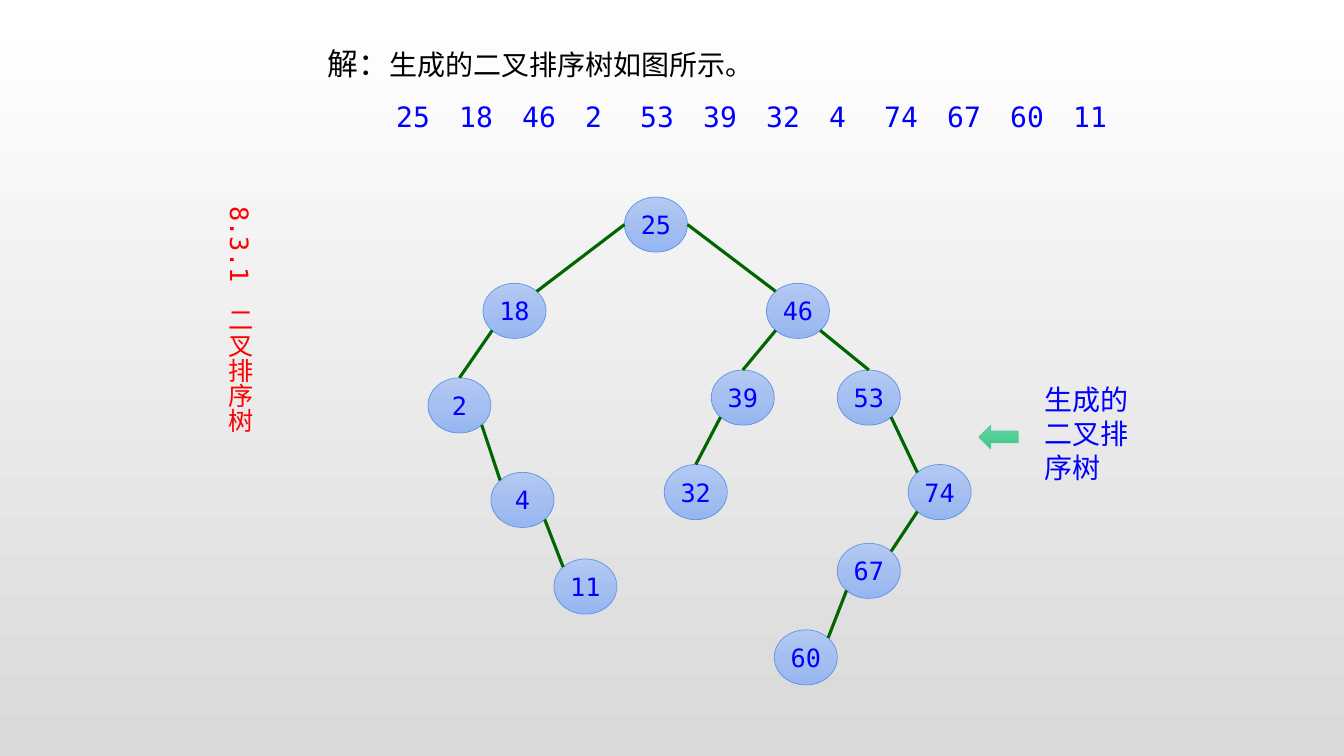
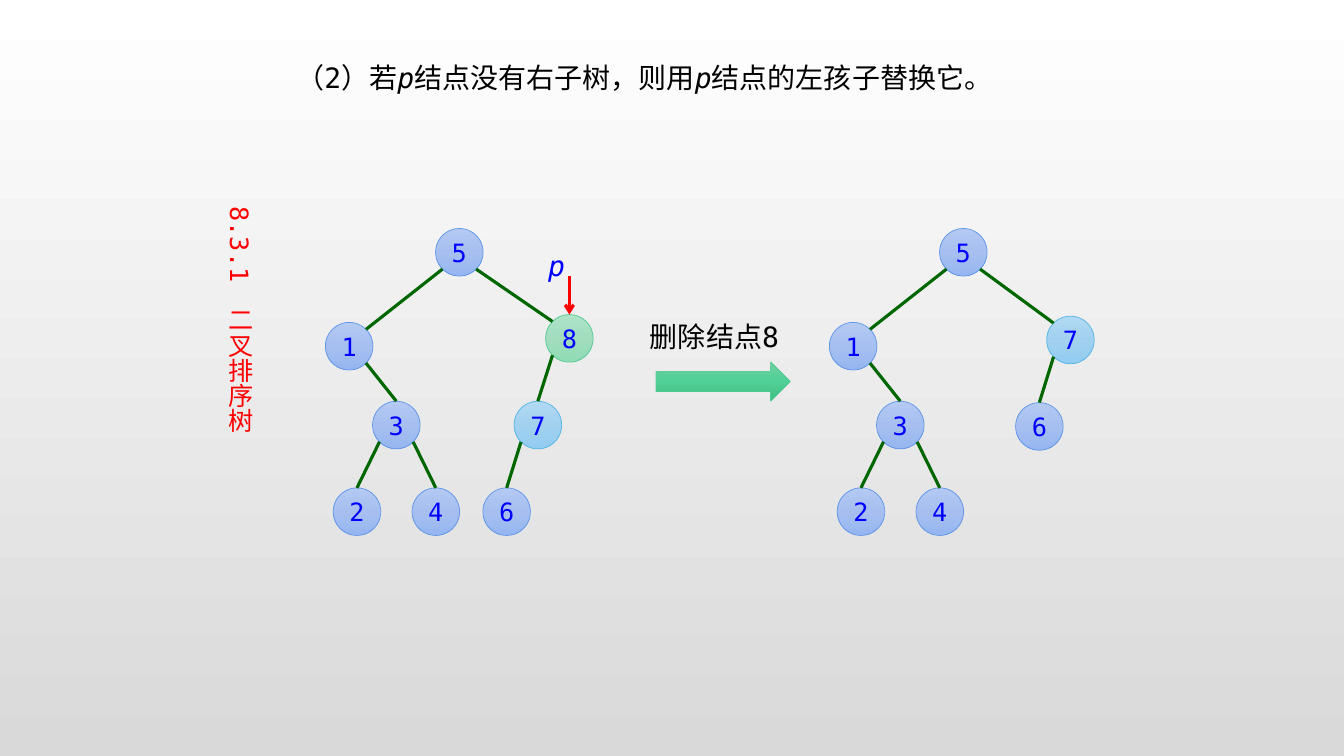
import dataclasses
import copy
import math
import typing

import lxml.etree
import pptx
import pptx.dml.color
import pptx.enum.shapes
import pptx.enum.text
import pptx.oxml.ns
import pptx.util

Pt = pptx.util.Pt
qn = pptx.oxml.ns.qn
ShapeKind = pptx.enum.shapes.MSO_SHAPE
Align = pptx.enum.text.PP_ALIGN
Anchor = pptx.enum.text.MSO_ANCHOR


@dataclasses.dataclass(frozen=True)
class Paint:
    stops: tuple[str, ...]
    outline: str


@dataclasses.dataclass(frozen=True)
class Theme:
    black: str = "000000"
    blue: str = "0000FF"
    red: str = "FF0000"
    edge: str = "006600"
    background: tuple[str, str] = ("FFFFFF", "D9D9D9")
    plain: Paint = Paint(("B4CAF3", "A6BFF0", "96B6F1"), "6096E6")
    removed: Paint = Paint(("AEE3C8", "A1DDBE", "90DCB5"), "56CA95")
    moved: Paint = Paint(("B1D9F3", "A2D1EF", "92CCF1"), "58B6E5")
    arrow: Paint = Paint(("6DD1A1", "50D096", "41BF85"), "56CA95")
    mono: str = "DejaVu Sans Mono"
    sans: str = "Arial"
    chinese: str = "Noto Sans CJK SC"
    lead_size: int = 22
    text_size: int = 20
    node_size: int = 18
    edge_width: float = 2.25
    outline_width: float = 0.5


THEME = Theme()


class Rect(typing.NamedTuple):
    left: float
    top: float
    width: float
    height: float


class Span(typing.NamedTuple):
    text: str
    size: int = THEME.text_size
    font: str = THEME.mono
    color: str = THEME.black
    italic: bool = False


@dataclasses.dataclass(frozen=True)
class Node:
    key: int
    x: float
    y: float
    parent: int | None = None
    shoulder: bool = False
    paint: Paint = THEME.plain


@dataclasses.dataclass(frozen=True)
class Tree:
    nodes: tuple[Node, ...]
    width: float
    height: float
    root_side_exit: bool = False


def rgb(value: str) -> pptx.dml.color.RGBColor:
    return pptx.dml.color.RGBColor.from_string(value)


def fill_gradient(fill, colors: tuple[str, ...]) -> None:
    fill.gradient_angle = 270
    last = len(colors) - 1
    for index, (stop, color) in enumerate(zip(fill.gradient_stops, colors)):
        stop.color.rgb = rgb(color)
        stop.position = index / last


def paint_shape(shape, paint: Paint) -> None:
    shape.shadow.inherit = False
    shape.fill.gradient()
    stop_list = next(shape._element.spPr.iter(qn("a:gsLst")))
    while len(stop_list) < len(paint.stops):
        stop_list.append(copy.deepcopy(stop_list[-1]))
    fill_gradient(shape.fill, paint.stops)
    shape.line.color.rgb = rgb(paint.outline)
    shape.line.width = Pt(THEME.outline_width)


def write_spans(box, spans: tuple[Span, ...], align=Align.LEFT) -> None:
    para = box.text_frame.paragraphs[0]
    para.alignment = align
    for span in spans:
        run = para.add_run()
        run.text = span.text
        run.font.size = Pt(span.size)
        run.font.name = span.font
        run.font.italic = span.italic
        run.font.color.rgb = rgb(span.color)
        east_asian = lxml.etree.Element(qn("a:ea"), typeface=THEME.chinese)
        run._r.rPr.find(qn("a:latin")).addnext(east_asian)


def add_text(page, rect: Rect, span: Span, side_inset: float = 7.2):
    box = page.shapes.add_textbox(*map(Pt, rect))
    frame = box.text_frame
    frame.word_wrap = True
    frame.margin_left = frame.margin_right = Pt(side_inset)
    write_spans(box, (span,))
    return box


def add_page(deck, title_rect: Rect, title: tuple[Span, ...]):
    page = deck.slides.add_slide(deck.slide_layouts.get_by_name("Title Only"))
    box = page.shapes.title
    box.left, box.top, box.width, box.height = map(Pt, title_rect)
    box.text_frame.vertical_anchor = Anchor.TOP
    box.text_frame.auto_size = pptx.enum.text.MSO_AUTO_SIZE.NONE
    write_spans(box, title)
    section = add_text(page, Rect(150, 140.5, 36, 247.5),
                       Span("8.3.1　二叉排序树", THEME.node_size, color=THEME.red))
    section.text_frame._txBody.bodyPr.set("vert", "eaVert")
    return page


def add_line(page, start: tuple[float, float], end: tuple[float, float], color: str):
    line = page.shapes.add_connector(
        pptx.enum.shapes.MSO_CONNECTOR.STRAIGHT, *map(Pt, (*start, *end)))
    line.line.color.rgb = rgb(color)
    line.line.width = Pt(THEME.edge_width)
    lxml.etree.SubElement(line._element.spPr, qn("a:effectLst"))
    return line


def add_block_arrow(page, kind, rect: Rect) -> None:
    paint_shape(page.shapes.add_shape(kind, *map(Pt, rect)), THEME.arrow)


def add_node(page, node: Node, tree: Tree):
    rect = Rect(node.x - tree.width / 2, node.y - tree.height / 2, tree.width, tree.height)
    circle = page.shapes.add_shape(ShapeKind.OVAL, *map(Pt, rect))
    paint_shape(circle, node.paint)
    frame = circle.text_frame
    frame.margin_left = frame.margin_right = 0
    frame.vertical_anchor = Anchor.MIDDLE
    write_spans(circle, (Span(str(node.key), THEME.node_size, color=THEME.blue),), Align.CENTER)
    return circle


def rim_point(node: Node, tree: Tree, degrees: float) -> tuple[float, float]:
    angle = math.radians(degrees)
    return (node.x + tree.width / 2 * math.cos(angle),
            node.y + tree.height / 2 * math.sin(angle))


def add_tree(page, tree: Tree) -> dict:
    circles = {node.key: add_node(page, node, tree) for node in tree.nodes}
    by_key = {node.key: node for node in tree.nodes}
    for child in tree.nodes:
        if child.parent is None:
            continue
        parent = by_key[child.parent]
        is_left = child.x < parent.x
        drop = 0 if tree.root_side_exit and parent.parent is None else 45
        exit_angle = 180 - drop if is_left else drop
        entry_angle = -90 if not child.shoulder else (-45 if is_left else -135)
        edge = add_line(page, rim_point(parent, tree, exit_angle),
                        rim_point(child, tree, entry_angle), THEME.edge)
        if not child.shoulder:
            edge.end_connect(circles[child.key], 0)
    return circles


def build_insertion_page(deck) -> None:
    page = add_page(deck, Rect(226.8, 28, 348.5, 34), (
        Span("解：", THEME.lead_size, THEME.sans),
        Span("生成的二叉排序树如图所示。", font=THEME.sans)))
    add_tree(page, Tree((
        Node(25, 468.6, 160.4),
        Node(18, 367.5, 222.1, 25, True),
        Node(46, 570, 222.1, 25, True),
        Node(2, 328.2, 289.6, 18),
        Node(4, 373.2, 357.1, 2, True),
        Node(11, 418.2, 419, 4, True),
        Node(39, 530.6, 284, 46),
        Node(53, 620.6, 284, 46),
        Node(32, 497, 351.5, 39),
        Node(74, 671.2, 351.5, 53, True),
        Node(67, 620.6, 407.8, 74, True),
        Node(60, 575.6, 469.6, 67, True),
    ), 45, 39.4, root_side_exit=True))
    left = 283.0
    for key in (25, 18, 46, 2, 53, 39, 32, 4, 74, 67, 60, 11):
        add_text(page, Rect(left, 67.5, 28, 31.5), Span(str(key), color=THEME.blue), 0)
        left += 45 if key >= 10 else 39.3
    add_text(page, Rect(738.7, 270, 78.5, 80),
             Span("生成的二叉排序树", font=THEME.chinese, color=THEME.blue))
    add_block_arrow(page, ShapeKind.LEFT_ARROW, Rect(699.2, 303.7, 28.1, 16.9))


def small_tree(shift: float, right_branch: tuple[Node, ...]) -> Tree:
    shared = (
        Node(5, 328.1, 180.2),
        Node(1, 249.4, 247.3, 5, True),
        Node(3, 283.1, 303.6, 1),
        Node(4, 311.3, 365.5, 3),
        Node(2, 255, 365.5, 3),
    )
    moved = (dataclasses.replace(node, x=node.x + shift) for node in shared + right_branch)
    return Tree(tuple(moved), 34, 34)


def build_deletion_page(deck) -> None:
    page = add_page(deck, Rect(204.5, 39.5, 610, 32), (
        Span("（2）若"),
        Span("p", italic=True),
        Span("结点没有右子树，则用"),
        Span("p", italic=True),
        Span("结点的左孩子替换它。")))
    before = add_tree(page, small_tree(0, (
        Node(8, 406.7, 241.7, 5, True, THEME.removed),
        Node(7, 384.2, 303.6, 8, paint=THEME.moved),
        Node(6, 361.9, 365.5, 7))))
    pointer = add_line(page, (406.7, 197), (406.7, 224.7), THEME.red)
    pointer.end_connect(before[8], 0)
    lxml.etree.SubElement(pointer._element.spPr.find(qn("a:ln")), qn("a:tailEnd"), type="arrow")
    add_text(page, Rect(384.5, 174.2, 28, 31.7), Span("p", color=THEME.blue, italic=True))
    add_block_arrow(page, ShapeKind.RIGHT_ARROW, Rect(468.5, 258.5, 96, 28.1))
    add_text(page, Rect(457.2, 224.7, 114, 31.7), Span("删除结点8"))
    add_tree(page, small_tree(360, (
        Node(7, 404.6, 242.8, 5, True, THEME.moved),
        Node(6, 382.4, 304.6, 7))))


def main() -> None:
    deck = pptx.Presentation()
    deck.slide_width, deck.slide_height = Pt(960), Pt(540)
    background = deck.slide_master.background.fill
    background.gradient()
    fill_gradient(background, THEME.background)
    build_insertion_page(deck)
    build_deletion_page(deck)
    deck.save("out.pptx")


if __name__ == "__main__":
    main()
